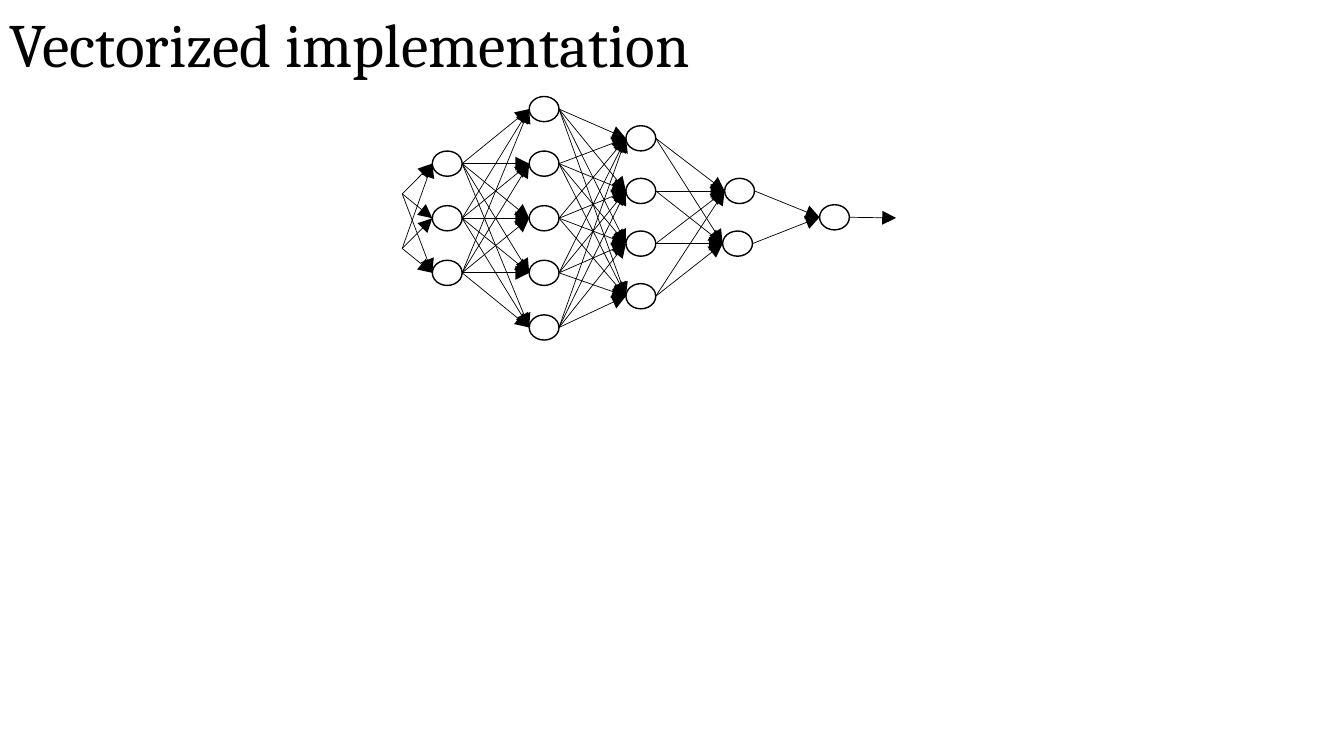
from dataclasses import dataclass
from itertools import pairwise, product

from lxml import etree
from pptx import Presentation
from pptx.dml.color import RGBColor
from pptx.enum.shapes import MSO_CONNECTOR, MSO_SHAPE
from pptx.enum.text import MSO_ANCHOR
from pptx.oxml.ns import qn
from pptx.slide import Slide
from pptx.util import Pt

STRAIGHT = MSO_CONNECTOR.STRAIGHT
OVAL = MSO_SHAPE.OVAL
MIDDLE = MSO_ANCHOR.MIDDLE
COLORS = {"ink": "000000", "background": "FFFFFF"}
NEURON_WIDTH, NEURON_HEIGHT = 21.3, 18


@dataclass(frozen=True)
class Node:
    left: float
    center_y: float
    width: float


@dataclass(frozen=True)
class Layer:
    """A column of nodes; skew shifts each node sideways from the one above."""
    left: float
    center_y: float
    count: int
    pitch: float = 0
    skew: float = 0
    neurons: bool = True

    def nodes(self) -> list[Node]:
        top = self.center_y - self.pitch * (self.count - 1) / 2
        width = NEURON_WIDTH if self.neurons else 0
        return [Node(self.left + i * self.skew, top + i * self.pitch, width)
                for i in range(self.count)]


LAYERS = [
    Layer(287.3, 158, 2, 39, neurons=False),
    Layer(308.8, 155.9, 3, 39),
    Layer(378, 155.9, 5, 39),
    Layer(447.1, 155.2, 4, 37.6),
    Layer(517.6, 155.2, 2, 37.6, skew=-1.4),
    Layer(585.4, 155.2, 1),
    Layer(640.1, 155.7, 1, neurons=False),
]


def color(name: str) -> RGBColor:
    return RGBColor.from_string(COLORS[name])


def add_title(slide: Slide, wording: str) -> None:
    frame = slide.shapes.add_textbox(Pt(0), Pt(-18), Pt(828), Pt(104.4)).text_frame
    frame.word_wrap = True
    frame.vertical_anchor = MIDDLE
    title = frame.paragraphs[0]
    title.text = wording
    title.line_spacing = 0.9
    title.font.name = "Cambria"
    title.font.size = Pt(44)
    title.font.color.rgb = color("ink")


def add_neuron(slide: Slide, node: Node) -> None:
    neuron = slide.shapes.add_shape(
        OVAL, Pt(node.left), Pt(node.center_y - NEURON_HEIGHT / 2),
        Pt(node.width), Pt(NEURON_HEIGHT))
    neuron.shadow.inherit = False
    neuron.fill.background()
    neuron.line.color.rgb = color("ink")
    neuron.line.width = Pt(1)


def add_arrow(slide: Slide, source: Node, target: Node) -> None:
    arrow = slide.shapes.add_connector(
        STRAIGHT, Pt(source.left + source.width), Pt(source.center_y),
        Pt(target.left), Pt(target.center_y))
    arrow.line.color.rgb = color("ink")
    arrow.line.width = Pt(0.5)
    etree.SubElement(arrow.line._get_or_add_ln(), qn("a:tailEnd"),
                     type="triangle", w="lg", len="lg")
    etree.SubElement(arrow._element.spPr, qn("a:effectLst"))


def main() -> None:
    presentation = Presentation()
    presentation.slide_width, presentation.slide_height = Pt(960), Pt(540)
    slide = presentation.slides.add_slide(presentation.slide_layouts[6])
    slide.background.fill.solid()
    slide.background.fill.fore_color.rgb = color("background")

    add_title(slide, "Vectorized implementation")
    for layer in LAYERS:
        if layer.neurons:
            for node in layer.nodes():
                add_neuron(slide, node)
    for layer, following in pairwise(LAYERS):
        for source, target in product(layer.nodes(), following.nodes()):
            add_arrow(slide, source, target)
    presentation.save("out.pptx")


if __name__ == "__main__":
    main()
